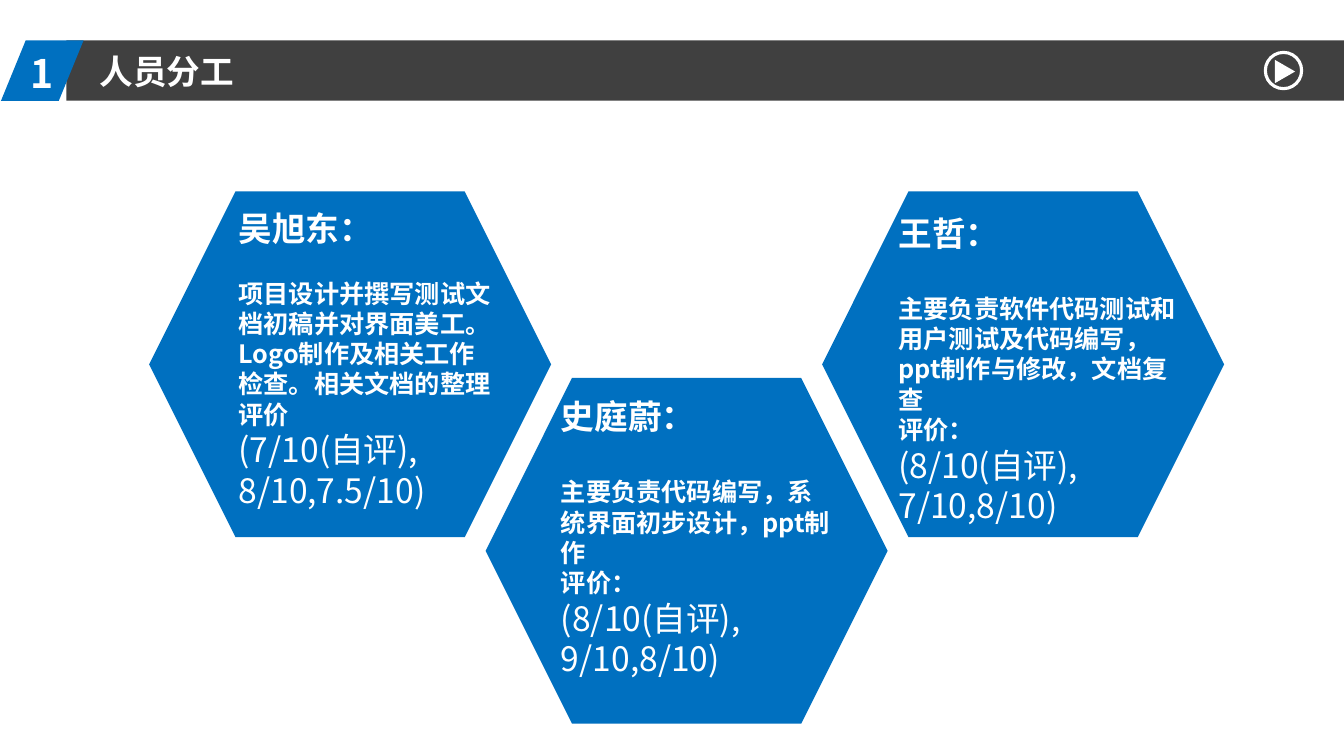
from dataclasses import dataclass

from lxml import etree
from pptx import Presentation
from pptx.dml.color import RGBColor
from pptx.enum.shapes import MSO_SHAPE
from pptx.enum.text import MSO_AUTO_SIZE
from pptx.oxml.ns import qn
from pptx.util import Inches, Pt

RECTANGLE = MSO_SHAPE.RECTANGLE
PARALLELOGRAM = MSO_SHAPE.PARALLELOGRAM
HEXAGON = MSO_SHAPE.HEXAGON
OVAL = MSO_SHAPE.OVAL
TRIANGLE = MSO_SHAPE.ISOSCELES_TRIANGLE
GROW = MSO_AUTO_SIZE.SHAPE_TO_FIT_TEXT

SLIDE_WIDTH, SLIDE_HEIGHT = 13.34, 7.5
COLUMNS, ROWS = 133.4, 75  # grid cells across and down the slide


@dataclass(frozen=True)
class Theme:
    font: str = "Noto Sans CJK SC"
    blue: str = "0070C0"
    dark: str = "404040"
    white: str = "FFFFFF"
    number: int = 28
    heading: int = 24
    body: int = 18
    ring: float = 2.25


class SlideBuilder:
    def __init__(self, presentation, theme):
        self.theme = theme
        self.slide = presentation.slides.add_slide(presentation.slide_layouts[6])
        self.cell_width = presentation.slide_width / COLUMNS
        self.cell_height = presentation.slide_height / ROWS

    def place(self, column, row, columns, rows):
        return (round(column * self.cell_width), round(row * self.cell_height),
                round(columns * self.cell_width), round(rows * self.cell_height))

    def shape(self, kind, box, fill=None, line=None):
        shape = self.slide.shapes.add_shape(kind, *self.place(*box))
        shape.shadow.inherit = False
        if fill:
            shape.fill.solid()
            shape.fill.fore_color.rgb = RGBColor.from_string(fill)
        else:
            shape.fill.background()
        if line:
            shape.line.color.rgb = RGBColor.from_string(line)
            shape.line.width = Pt(self.theme.ring)
        else:
            shape.line.fill.background()
        return shape

    def text(self, box, paragraphs):
        """Each paragraph is (text, size, bold, space before in points)."""
        frame = self.slide.shapes.add_textbox(*self.place(*box)).text_frame
        frame.word_wrap = True
        frame.auto_size = GROW
        for index, (text, size, bold, space) in enumerate(paragraphs):
            paragraph = frame.add_paragraph() if index else frame.paragraphs[0]
            if space:
                paragraph.space_before = Pt(space)
            run = paragraph.add_run()
            run.text = text
            run.font.size = Pt(size)
            run.font.bold = bold
            run.font.color.rgb = RGBColor.from_string(self.theme.white)
            run.font.name = self.theme.font
            east_asian = etree.SubElement(run.font._element, qn("a:ea"))
            east_asian.set("typeface", self.theme.font)

    def header(self, number, title):
        theme = self.theme
        self.shape(RECTANGLE, (6.6, 4, 126.8, 6), theme.dark)
        badge = self.shape(PARALLELOGRAM, (0.1, 4, 8.2, 6), theme.blue)
        badge.adjustments[0] = 0.41
        self.text((2, 4.4, 6.9, 5.7), [(number, theme.number, True, 0)])
        self.text((8.9, 4.6, 27.4, 5), [(title, theme.heading, True, 0)])

    def play_button(self):
        self.shape(OVAL, (125.6, 5.2, 3.6, 3.6), line=self.theme.white)
        arrow = self.shape(TRIANGLE, (126.4, 6.1, 2.3, 2), self.theme.white)
        arrow.rotation = 90

    def member(self, name, duty, label, scores, box, gap):
        theme = self.theme
        self.text(box, [
            (name, theme.heading, True, 0),
            (duty, theme.body, True, gap),
            (label, theme.body, True, 0),
            *((score, theme.heading, False, 0) for score in scores),
        ])


# Name, duty, label, scores, text box on the grid, gap below the name
MEMBERS = [
    ("吴旭东：",
     "项目设计并撰写测试文档初稿并对界面美工。Logo制作及相关工作检查。相关文档的整理",
     "评价", ("(7/10(自评),", "8/10,7.5/10)"), (22.7, 20.1, 27.4, 31), 21.6),
    ("史庭蔚：", "主要负责代码编写，系统界面初步设计，ppt制作",
     "评价：", ("(8/10(自评),", "9/10,8/10)"), (54.7, 38.8, 28.7, 29), 28.8),
    ("王哲：", "主要负责软件代码测试和用户测试及代码编写，ppt制作与修改，文档复查",
     "评价：", ("(8/10(自评),", "7/10,8/10)"), (88.2, 20.6, 30.4, 32), 28.8),
]


def main():
    presentation = Presentation()
    presentation.slide_width = Inches(SLIDE_WIDTH)
    presentation.slide_height = Inches(SLIDE_HEIGHT)
    builder = SlideBuilder(presentation, Theme())

    # Title bar
    builder.header("1", "人员分工")
    builder.play_button()

    # Hexagons at equal steps, the middle one lower
    for index, member in enumerate(MEMBERS):
        row = 19 + 18.5 * (index % 2)
        builder.shape(HEXAGON, (14.8 + 33.4 * index, row, 39.9, 34.3),
                      builder.theme.blue)
        builder.member(*member)

    presentation.save("out.pptx")


if __name__ == "__main__":
    main()
